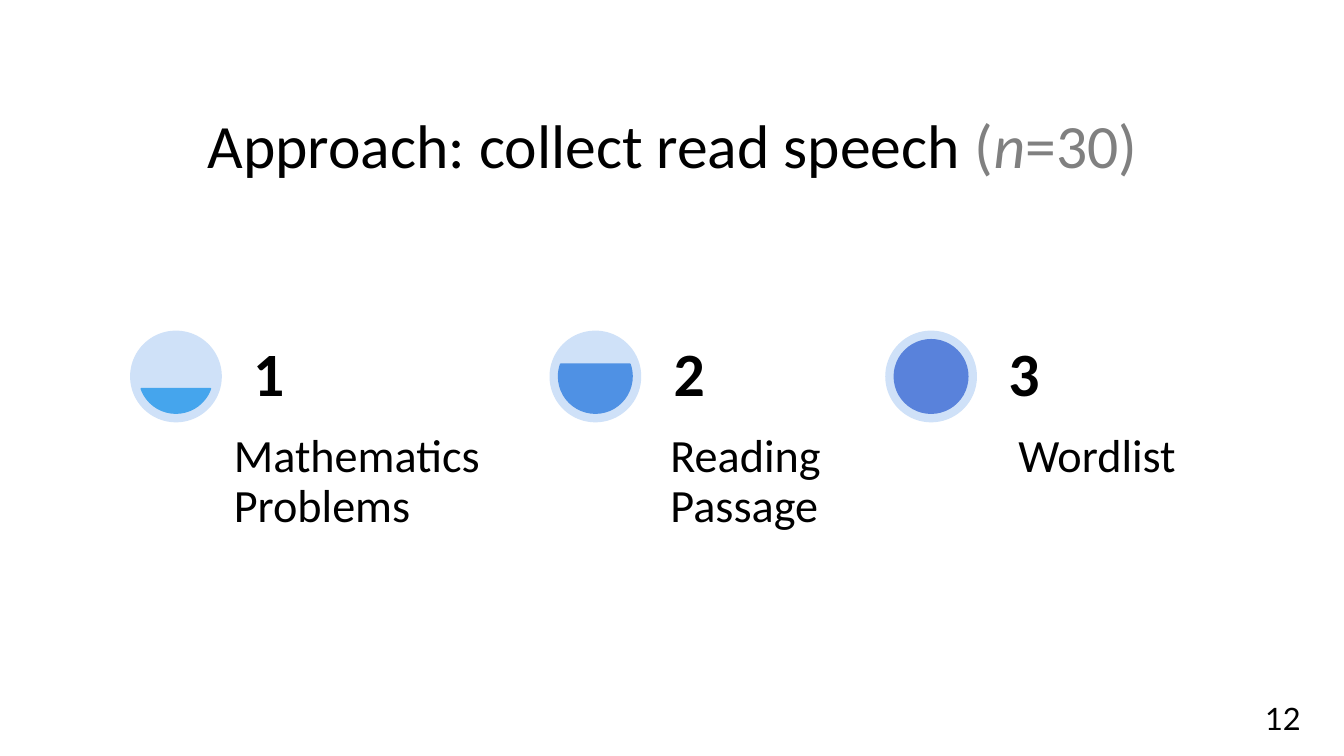
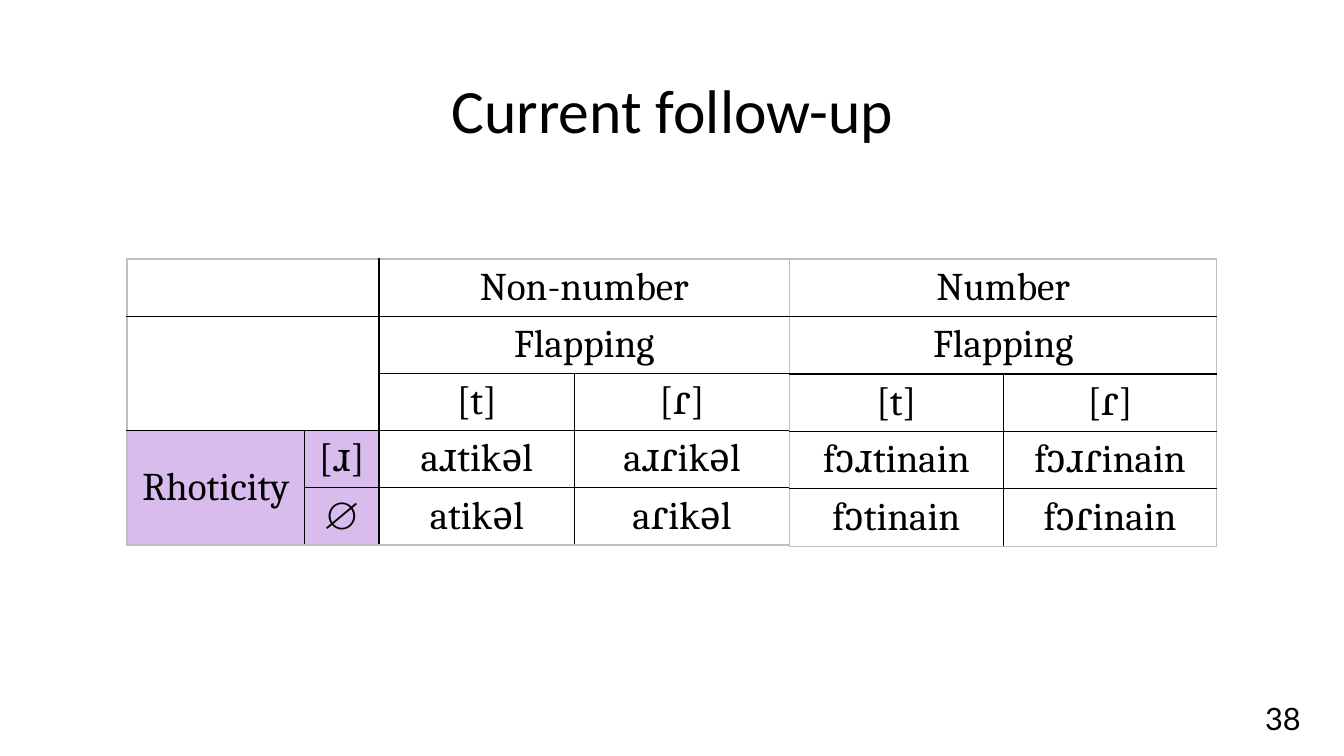
from math import asin, degrees

from lxml import etree
from pptx import Presentation
from pptx.dml.color import RGBColor
from pptx.enum.shapes import MSO_SHAPE
from pptx.enum.text import MSO_ANCHOR, PP_ALIGN
from pptx.oxml.ns import qn
from pptx.util import Inches, Pt

CENTER, LEFT, RIGHT = PP_ALIGN.CENTER, PP_ALIGN.LEFT, PP_ALIGN.RIGHT
TOP, MIDDLE, BOTTOM = MSO_ANCHOR.TOP, MSO_ANCHOR.MIDDLE, MSO_ANCHOR.BOTTOM
OVAL, CHORD = MSO_SHAPE.OVAL, MSO_SHAPE.CHORD

BLACK, GREY, PALE_BLUE, LILAC = "000000", "808080", "CFE1F8", "D7BCED"
EDGE_GREY = "BFBFBF"
NO_TABLE_STYLE = "{2D5ABB26-0587-4C30-8999-92F81FD0307C}"

# Content: a run is (text, colour, italic)
APPROACH_TITLE = [
    ("Approach: collect read speech ", BLACK, False),
    ("(", GREY, False), ("n", GREY, True), ("=30)", GREY, False),
]
FOLLOW_UP_TITLE = [("Current follow-up", BLACK, False)]

# Steps: label, colour, disc left, number left, label left, label width
STEPS = [
    ("Mathematics Problems", "45A5ED", 1.29, 2.39, 2.23, 3.03),
    ("Reading Passage", "4F91E4", 5.45, 6.56, 6.56, 2.71),
    ("Wordlist", "5982DB", 8.78, 9.88, 10.01, 3.2),
]
DISC_TOP, DISC_SIZE, DISC_RIM = 3.28, 0.91, 0.09

# Tables: spans are (row, column, last row, last column)
TABLES = [
    {
        "left": 1.26, "columns": [1.76, 0.74, 1.94, 2.13], "row_height": 0.54,
        "rows": [
            ["", "", "Non-number", ""],
            ["", "", "Flapping", ""],
            ["", "", "[t]", "[ɾ]"],
            ["Rhoticity", "[ɹ]", "aɹtikəl", "aɹɾikəl"],
            ["", "∅", "atikəl", "aɾikəl"],
        ],
        "spans": [(0, 0, 0, 1), (0, 2, 0, 3), (1, 0, 2, 1), (1, 2, 1, 3),
                  (3, 0, 4, 0)],
        "shaded": {(3, 0), (3, 1), (4, 1)},
    },
    {
        "left": 7.83, "columns": [2.12, 2.12], "row_height": 0.57,
        "rows": [
            ["Number", ""],
            ["Flapping", ""],
            ["[t]", "[ɾ]"],
            ["fɔɹtinain", "fɔɹɾinain"],
            ["fɔtinain", "fɔɾinain"],
        ],
        "spans": [(0, 0, 0, 1), (1, 0, 1, 1)],
        "shaded": set(),
    },
]
TABLE_TOP = 2.57


def rgb(color):
    return RGBColor.from_string(color)


def add_span(para, text, size, font, color=BLACK, bold=False, italic=False):
    span = para.add_run()
    span.text = text
    span.font.size, span.font.name = Pt(size), font
    span.font.bold, span.font.italic = bold, italic
    span.font.color.rgb = rgb(color)


def add_text(page, place, runs, size, font="Calibri", align=LEFT, anchor=TOP,
             inset=None, spacing=0.9, bold=False):
    box = page.shapes.add_textbox(*(Inches(value) for value in place))
    frame = box.text_frame
    frame.word_wrap = True
    frame.vertical_anchor = anchor
    if inset is not None:
        frame.margin_left = frame.margin_right = Inches(inset)
        frame.margin_top = frame.margin_bottom = Inches(inset)
    para = frame.paragraphs[0]
    para.alignment, para.line_spacing = align, spacing
    for text, color, italic in runs:
        add_span(para, text, size, font, color, bold, italic)


def add_page(deck, title, title_top, number):
    page = deck.slides.add_slide(deck.slide_layouts[6])
    add_text(page, (0.92, title_top, 11.5, 1.45), title, 44,
             align=CENTER, anchor=MIDDLE)
    add_text(page, (10, 6.89, 3, 0.4), [(number, BLACK, False)], 22,
             font="Lato", align=RIGHT, spacing=1.0)
    return page


def add_disc(page, kind, left, top, size, color):
    disc = page.shapes.add_shape(kind, Inches(left), Inches(top),
                                 Inches(size), Inches(size))
    disc.shadow.inherit = False
    disc.fill.solid()
    disc.fill.fore_color.rgb = rgb(color)
    disc.line.fill.background()
    return disc


def add_step(page, index, step):
    label, color, disc_left, number_left, label_left, label_width = step
    add_disc(page, OVAL, disc_left, DISC_TOP, DISC_SIZE, PALE_BLUE)
    level = add_disc(page, CHORD, disc_left + DISC_RIM, DISC_TOP + DISC_RIM,
                     DISC_SIZE - 2 * DISC_RIM, color)
    level.line.color.rgb = rgb(color)
    level.line.width = Pt(1)
    # The chord fills the disc up to this step's share of all steps
    share = (index + 1) / len(STEPS)
    angle = degrees(asin(1 - 2 * share))
    # Angles are stored in 60000ths of a degree, adjustments in 100000ths
    level.adjustments[0] = (angle % 360) * 0.6
    level.adjustments[1] = (180 - angle) * 0.6
    add_text(page, (label_left, 4.2, label_width, 1.2),
             [(label, BLACK, False)], 33, inset=0.09)
    add_text(page, (number_left, DISC_TOP, 2.71, DISC_SIZE),
             [(str(index + 1), BLACK, False)], 44, anchor=BOTTOM,
             inset=0.12, bold=True)


def add_borders(cell, outer_sides):
    properties = cell._tc.get_or_add_tcPr()
    for side in "LRTB":
        line = etree.SubElement(properties, qn("a:ln" + side), w=str(Pt(1)))
        fill = etree.SubElement(line, qn("a:solidFill"))
        color = EDGE_GREY if side in outer_sides else BLACK
        etree.SubElement(fill, qn("a:srgbClr"), val=color)


def add_grid(page, content):
    rows, columns = content["rows"], content["columns"]
    row_height = content["row_height"]
    table = page.shapes.add_table(
        len(rows), len(columns), Inches(content["left"]), Inches(TABLE_TOP),
        Inches(sum(columns)), Inches(row_height * len(rows))).table
    table.first_row = table.horz_banding = False
    table._tbl.tblPr.find(qn("a:tableStyleId")).text = NO_TABLE_STYLE
    for column, width in zip(table.columns, columns):
        column.width = Inches(width)
    for row in table.rows:
        row.height = Inches(row_height)
    for top, left, bottom, right in content["spans"]:
        table.cell(top, left).merge(table.cell(bottom, right))

    for r, texts in enumerate(rows):
        for c, text in enumerate(texts):
            cell = table.cell(r, c)
            if cell.is_spanned:
                continue
            end_row = r + (cell.span_height if cell.is_merge_origin else 1)
            end_column = c + (cell.span_width if cell.is_merge_origin else 1)
            at_edge = {"L": c == 0, "R": end_column == len(columns),
                       "T": r == 0, "B": end_row == len(rows)}
            add_borders(cell, [side for side, outer in at_edge.items() if outer])
            if (r, c) in content["shaded"]:
                cell.fill.solid()
                cell.fill.fore_color.rgb = rgb(LILAC)
            else:
                cell.fill.background()
            cell.vertical_anchor = MIDDLE
            if text:
                para = cell.text_frame.paragraphs[0]
                para.alignment = CENTER
                add_span(para, text, 28, "Cambria")


def main():
    deck = Presentation()
    deck.slide_width, deck.slide_height = Inches(13.33), Inches(7.5)

    # Approach: three reading tasks
    page = add_page(deck, APPROACH_TITLE, 0.75, "12")
    for index, step in enumerate(STEPS):
        add_step(page, index, step)

    # Follow-up: two tables side by side
    page = add_page(deck, FOLLOW_UP_TITLE, 0.4, "38")
    for content in TABLES:
        add_grid(page, content)

    deck.save("out.pptx")


if __name__ == "__main__":
    main()
